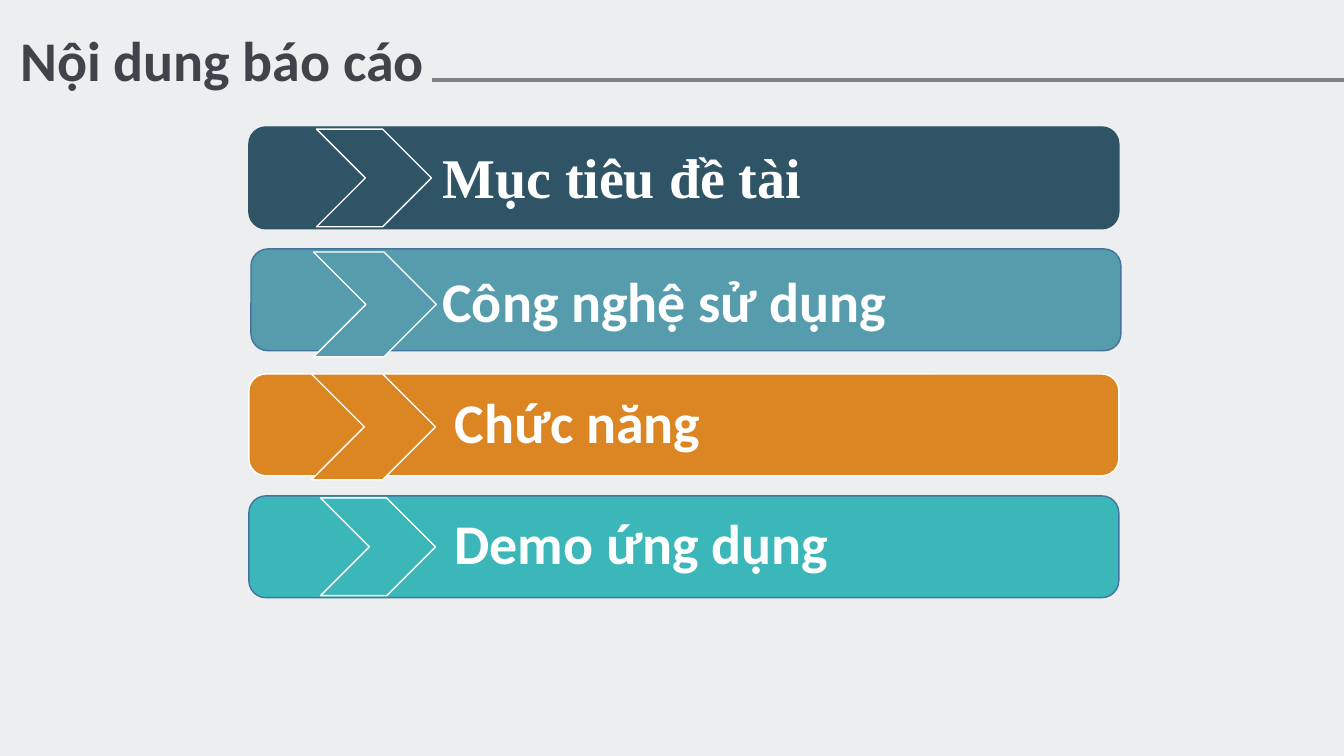
from lxml.etree import SubElement
from pptx import Presentation
from pptx.dml.color import RGBColor
from pptx.enum.shapes import MSO_CONNECTOR, MSO_SHAPE
from pptx.enum.text import MSO_AUTO_SIZE, PP_ALIGN
from pptx.oxml.ns import qn
from pptx.util import Pt

COLORS = {
    "background": "EDEEF0",
    "title": "404349",
    "rule": "808080",
    "white": "FFFFFF",
    "navy": "2F5466",
    "steel": "579CAC",
    "orange": "DB8523",
    "teal": "3CB7B9",
    "outline": "43739E",
}

BAR_SIZE = (621.4, 72.7)
LABEL_HEIGHT = 55.4

AGENDA = [
    dict(text="Mục tiêu đề tài", fill="navy", line="navy", bar=(177.8, 90.7),
         chevron=(226.1, 92.2, 82.1, 69.8), label=(308.9, 98.6, 273.6), font="Times New Roman"),
    dict(text="Công nghệ sử dụng", fill="steel", line="outline", bar=(179.3, 177.8),
         chevron=(223.9, 180, 87.8, 74.9), label=(308.9, 186.5, 335.5), font="Calibri"),
    dict(text="Chức năng", fill="orange", line="white", bar=(177.8, 267.1),
         chevron=(222.5, 267.1, 88.6, 75.6), label=(317.5, 273.6, 192.2), font="Calibri"),
    dict(text="Demo ứng dụng", fill="teal", line="outline", bar=(177.8, 354.2),
         chevron=(229, 355.7, 82.1, 69.8), label=(317.5, 360, 284.4), font="Calibri"),
]


def color(name):
    return RGBColor.from_string(COLORS[name])


def write_text(frame, text, font="Calibri", size=40, fill="white", bold=True, align=PP_ALIGN.LEFT):
    paragraph = frame.paragraphs[0]
    paragraph.alignment = align
    run = paragraph.add_run()
    run.text = text
    run.font.name = font
    run.font.size = Pt(size)
    run.font.bold = bold
    run.font.color.rgb = color(fill)


class SlideBuilder:
    def __init__(self, slide, line_width=1):
        self.slide = slide
        self.line_width = line_width

    def background(self, name):
        fill = self.slide.background.fill
        fill.solid()
        fill.fore_color.rgb = color(name)

    def shape(self, kind, left, top, width, height, fill, line):
        shape = self.slide.shapes.add_shape(kind, Pt(left), Pt(top), Pt(width), Pt(height))
        shape.shadow.inherit = False
        shape.fill.solid()
        shape.fill.fore_color.rgb = color(fill)
        shape.line.color.rgb = color(line)
        shape.line.width = Pt(self.line_width)

    def text(self, text, left, top, width, height, wrap=False, **style):
        box = self.slide.shapes.add_textbox(Pt(left), Pt(top), Pt(width), Pt(height))
        box.text_frame.word_wrap = wrap
        box.text_frame.auto_size = MSO_AUTO_SIZE.SHAPE_TO_FIT_TEXT
        write_text(box.text_frame, text, **style)

    def rule(self, left, right, top, name, width):
        connector = self.slide.shapes.add_connector(
            MSO_CONNECTOR.STRAIGHT, Pt(left), Pt(top), Pt(right), Pt(top))
        connector.line.color.rgb = color(name)
        connector.line.width = Pt(width)
        SubElement(connector._element.spPr, qn("a:effectLst"))


def main():
    presentation = Presentation()
    presentation.slide_width = Pt(960)
    presentation.slide_height = Pt(540)
    slide = presentation.slides.add_slide(presentation.slide_layouts[6])
    builder = SlideBuilder(slide)
    builder.background("background")
    builder.text("Nội dung báo cáo", 0, 14.4, 317.5, LABEL_HEIGHT, wrap=True,
                 fill="title", align=PP_ALIGN.CENTER)
    builder.rule(308.9, 960, 56.9, "rule", 3)
    for item in AGENDA:
        builder.shape(MSO_SHAPE.ROUNDED_RECTANGLE, *item["bar"], *BAR_SIZE, item["fill"], item["line"])
        builder.shape(MSO_SHAPE.CHEVRON, *item["chevron"], item["fill"], "white")
        builder.text(item["text"], *item["label"], LABEL_HEIGHT, font=item["font"])
    presentation.save("out.pptx")


if __name__ == "__main__":
    main()
